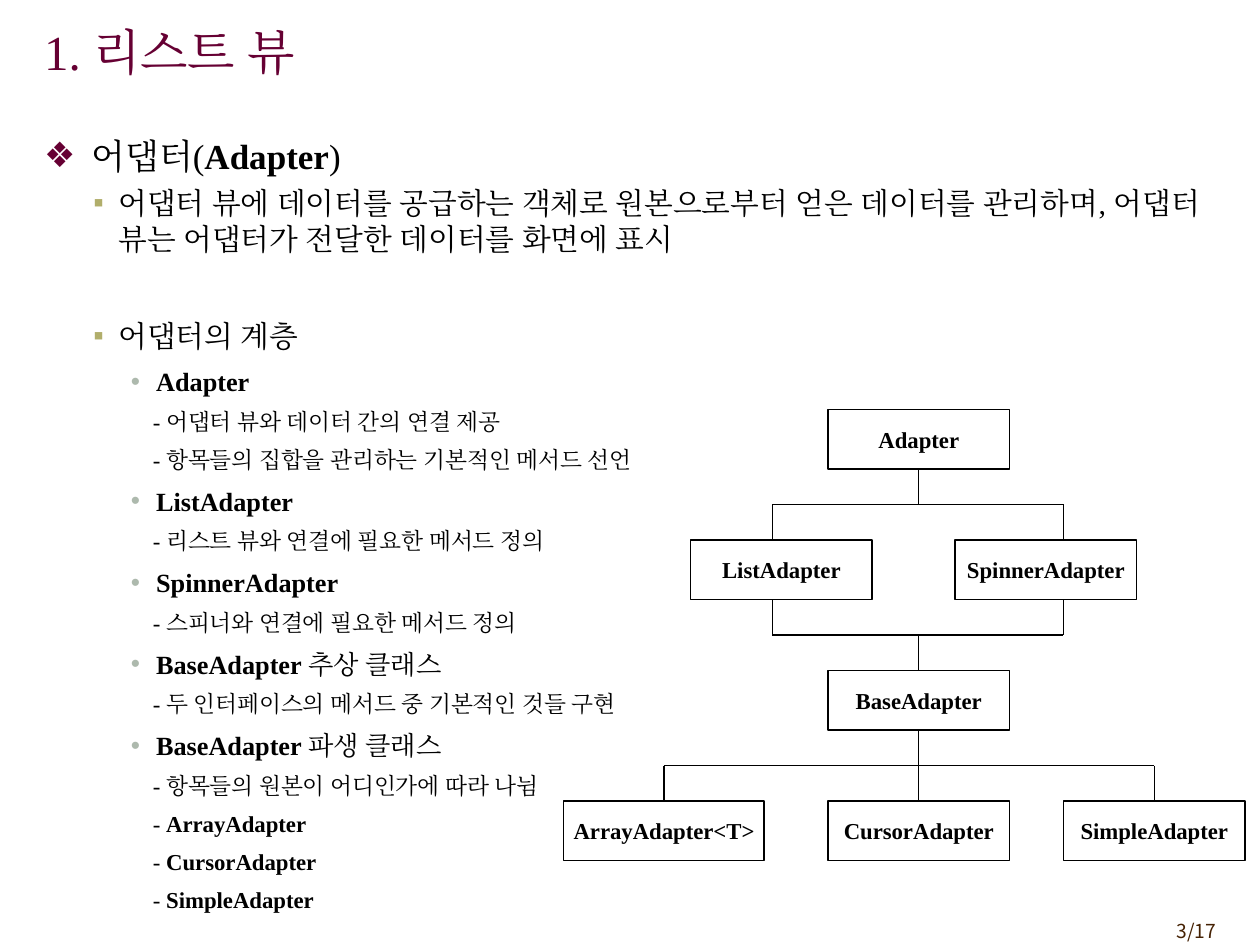
from lxml.etree import SubElement
from pptx import Presentation
from pptx.dml.color import RGBColor
from pptx.enum.lang import MSO_LANGUAGE_ID
from pptx.enum.shapes import MSO_CONNECTOR, MSO_SHAPE
from pptx.enum.text import MSO_ANCHOR, MSO_AUTO_SIZE, PP_ALIGN
from pptx.oxml.ns import qn
from pptx.util import Pt

COLORS = {"wine": "660033", "olive": "B1AE6B", "sage": "ADB9AD",
          "black": "000000", "white": "FFFFFF", "brown": "452103"}
SERIF = "Times New Roman"
SANS = "Noto Sans CJK KR"

TITLE = "1. 리스트 뷰"
PAGE = "3/17"
OUTLINE = [
    ("topic", [("어댑터(", False), ("Adapter", True), (")", False)]),
    ("point", [("어댑터 뷰에 데이터를 공급하는 객체로 원본으로부터 얻은 데이터를 관리하며, "
                "어댑터 뷰는 어댑터가 전달한 데이터를 화면에 표시", False)]),
    ("section", [("어댑터의 계층", False)]),
    ("class", [("Adapter", True)]),
    ("detail", [("- 어댑터 뷰와 데이터 간의 연결 제공", False)]),
    ("detail", [("- 항목들의 집합을 관리하는 기본적인 메서드 선언", False)]),
    ("class", [("ListAdapter", True)]),
    ("detail", [("- 리스트 뷰와 연결에 필요한 메서드 정의", False)]),
    ("class", [("SpinnerAdapter", True)]),
    ("detail", [("- 스피너와 연결에 필요한 메서드 정의", False)]),
    ("class", [("BaseAdapter ", True), ("추상 클래스", False)]),
    ("detail", [("- 두 인터페이스의 메서드 중 기본적인 것들 구현", False)]),
    ("class", [("BaseAdapter ", True), ("파생 클래스", False)]),
    ("detail", [("- 항목들의 원본이 어디인가에 따라 나뉨", False)]),
    ("detail", [("- ", False), ("ArrayAdapter", True)]),
    ("detail", [("- ", False), ("CursorAdapter", True)]),
    ("detail", [("- ", False), ("SimpleAdapter", True)]),
]
POINT = {"level": 1, "size": 17, "line": 20.6, "before": 4.2, "after": 3,
         "margin": 42.5, "indent": -14.4, "bullet": ("▪", "olive")}
STYLES = {
    "topic": {"level": 0, "size": 20, "line": 24, "before": 0, "after": 0,
              "margin": 27, "indent": -27, "bullet": ("❖", "wine")},
    "point": POINT,
    "section": {**POINT, "before": 31.8},
    "class": {"level": 2, "size": 15, "line": 18.2, "before": 3.7, "after": 3,
              "margin": 64, "indent": -14.4, "bullet": ("•", "sage")},
    "detail": {"level": 2, "size": 13, "line": 15.4, "before": 3.3, "after": 3,
               "margin": 62.2, "indent": 0, "bullet": None},
}

ROW_TOP, ROW_PITCH, BOX_HEIGHT, BOX_WIDTH = 234, 74.6, 34, 103.8
BOXES = {
    "Adapter": (0, 525, BOX_WIDTH),
    "ListAdapter": (1, 446.5, BOX_WIDTH),
    "SpinnerAdapter": (1, 597.6, BOX_WIDTH),
    "BaseAdapter": (2, 525, BOX_WIDTH),
    "ArrayAdapter<T>": (3, 379.4, 114.5),
    "CursorAdapter": (3, 525, BOX_WIDTH),
    "SimpleAdapter": (3, 659.6, BOX_WIDTH),
}
LEFT_BRANCH, RIGHT_BRANCH = 441.4, 607.7
BARS = [(0, LEFT_BRANCH, RIGHT_BRANCH), (1, LEFT_BRANCH, RIGHT_BRANCH), (2, 379.4, 659.6)]
STEMS = [
    (0, 525, "Adapter", "bar"),
    (0, LEFT_BRANCH, "bar", None),
    (0, RIGHT_BRANCH, "bar", None),
    (1, LEFT_BRANCH, None, "bar"),
    (1, RIGHT_BRANCH, None, "bar"),
    (1, 525, "bar", "BaseAdapter"),
    (2, 525, "BaseAdapter", "CursorAdapter"),
    (2, 379.4, "bar", "ArrayAdapter<T>"),
    (2, 659.6, "bar", "SimpleAdapter"),
]


def color(name):
    return RGBColor.from_string(COLORS[name])


def apply(target, values):
    for name, value in values.items():
        setattr(target, name, value)


def place(shape, left, top, width, height):
    apply(shape, {"left": Pt(left), "top": Pt(top), "width": Pt(width), "height": Pt(height)})


def add_run(paragraph, text, size, color_name="black", bold=False, face=SERIF):
    run = paragraph.add_run()
    run.text = text
    apply(run.font, {"name": face, "size": Pt(size), "bold": bold,
                     "language_id": MSO_LANGUAGE_ID.KOREAN})
    run.font.color.rgb = color(color_name)
    east_asian = SubElement(run.font._element, qn("a:ea"))
    east_asian.set("typeface", face)


def set_bullet(paragraph, style):
    properties = paragraph._p.get_or_add_pPr()
    properties.set("marL", str(Pt(style["margin"])))
    properties.set("indent", str(Pt(style["indent"])))
    if style["bullet"] is None:
        SubElement(properties, qn("a:buNone"))
        return
    character, color_name = style["bullet"]
    bullet_color = SubElement(properties, qn("a:buClr"))
    SubElement(bullet_color, qn("a:srgbClr")).set("val", COLORS[color_name])
    SubElement(properties, qn("a:buChar")).set("char", character)


def add_title(slide):
    title = slide.shapes.title
    place(title, 18, 6.5, 595.4, 45.4)
    apply(title.text_frame, {"vertical_anchor": MSO_ANCHOR.MIDDLE,
                             "auto_size": MSO_AUTO_SIZE.NONE})
    paragraph = title.text_frame.paragraphs[0]
    paragraph.alignment = PP_ALIGN.LEFT
    add_run(paragraph, TITLE, 28, "wine")


def add_outline(slide):
    body = slide.placeholders[1]
    place(body, 18, 73.4, 684, 454.3)
    frame = body.text_frame
    apply(frame, {"word_wrap": True, "auto_size": MSO_AUTO_SIZE.NONE})
    for index, (kind, runs) in enumerate(OUTLINE):
        style = STYLES[kind]
        paragraph = frame.add_paragraph() if index else frame.paragraphs[0]
        apply(paragraph, {"level": style["level"], "line_spacing": Pt(style["line"]),
                          "space_before": Pt(style["before"]),
                          "space_after": Pt(style["after"])})
        set_bullet(paragraph, style)
        for text, bold in runs:
            add_run(paragraph, text, style["size"], bold=bold)


def add_page_number(slide):
    box = slide.shapes.add_textbox(Pt(642.2), Pt(522), Pt(59.8), Pt(20.9))
    box.text_frame.word_wrap = True
    paragraph = box.text_frame.paragraphs[0]
    paragraph.alignment = PP_ALIGN.RIGHT
    add_run(paragraph, PAGE, 11, "brown", face=SANS)


def row_top(row):
    return ROW_TOP + row * ROW_PITCH


def add_box(slide, text, row, center, width):
    box = slide.shapes.add_shape(MSO_SHAPE.RECTANGLE, Pt(center - width / 2),
                                 Pt(row_top(row)), Pt(width), Pt(BOX_HEIGHT))
    box.shadow.inherit = False
    box.fill.solid()
    box.fill.fore_color.rgb = color("white")
    box.line.color.rgb = color("black")
    box.line.width = Pt(0.75)
    apply(box.text_frame, {"word_wrap": False, "vertical_anchor": MSO_ANCHOR.MIDDLE})
    paragraph = box.text_frame.paragraphs[0]
    paragraph.alignment = PP_ALIGN.CENTER
    add_run(paragraph, text, 13, bold=True)
    return box


def add_line(slide, *ends):
    line = slide.shapes.add_connector(MSO_CONNECTOR.STRAIGHT, *[Pt(end) for end in ends])
    line.line.color.rgb = color("black")
    line.line.width = Pt(0.75)
    SubElement(line._element.spPr, qn("a:effectLst"))
    return line


def add_hierarchy(slide):
    boxes = {text: add_box(slide, text, *spot) for text, spot in BOXES.items()}
    gap = ROW_PITCH - BOX_HEIGHT
    for row, left, right in BARS:
        middle = row_top(row + 1) - gap / 2
        add_line(slide, left, middle, right, middle)
    for row, x, start, end in STEMS:
        bottom = row_top(row + 1)
        middle = bottom - gap / 2
        line = add_line(slide, x, middle if start == "bar" else bottom - gap,
                        x, middle if end == "bar" else bottom)
        if start in boxes:
            line.begin_connect(boxes[start], 2)
        if end in boxes:
            line.end_connect(boxes[end], 0)


def main():
    presentation = Presentation()
    apply(presentation, {"slide_width": Pt(720), "slide_height": Pt(540)})
    slide = presentation.slides.add_slide(presentation.slide_layouts[1])
    add_page_number(slide)
    add_outline(slide)
    add_title(slide)
    add_hierarchy(slide)
    presentation.save("out.pptx")


if __name__ == "__main__":
    main()
